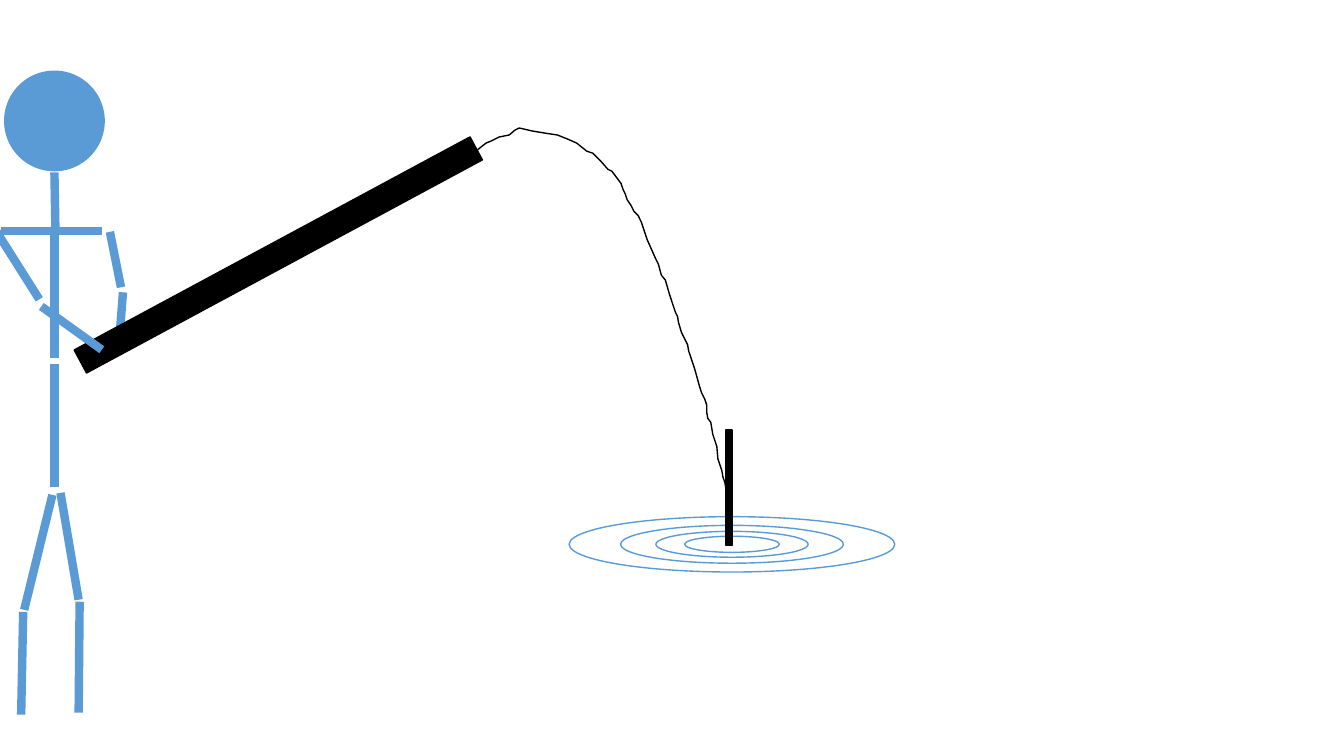
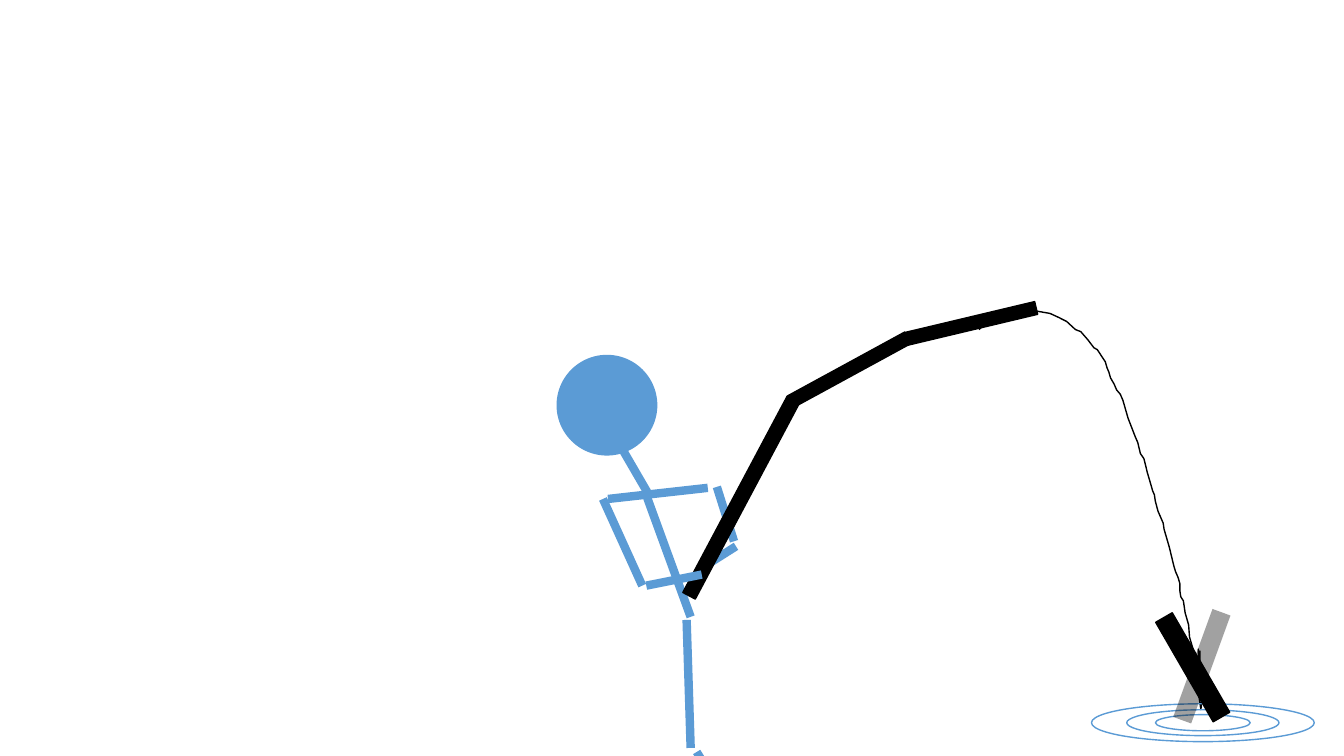
from dataclasses import dataclass

from lxml import etree
from pptx import Presentation
from pptx.dml.color import RGBColor
from pptx.enum.shapes import MSO_CONNECTOR as Link, MSO_SHAPE as Form
from pptx.oxml.ns import qn
from pptx.util import Cm, Pt

HUES = {"blue": "5B9BD5", "black": "000000"}
SLIDE = (13.33, 7.5)
HEAD = 1.0
FLAT = 0.17  # height of a ripple relative to its width
THIN, THICK = 1, 6

# Points of the slack fishing line, from rod tip to float
CORD = [
    (4.72, 1.5), (4.82, 1.42), (4.87, 1.4), (4.95, 1.36), (5.05, 1.34),
    (5.11, 1.29), (5.15, 1.27), (5.28, 1.3), (5.4, 1.32), (5.53, 1.34),
    (5.63, 1.38), (5.72, 1.42), (5.82, 1.5), (5.88, 1.52), (5.96, 1.6),
    (6.03, 1.68), (6.07, 1.7), (6.13, 1.78), (6.16, 1.82), (6.18, 1.88),
    (6.2, 1.92), (6.22, 1.98), (6.26, 2.04), (6.29, 2.1), (6.33, 2.14),
    (6.36, 2.2), (6.38, 2.26), (6.4, 2.32), (6.42, 2.38), (6.5, 2.56),
    (6.53, 2.62), (6.56, 2.73), (6.6, 2.78), (6.64, 2.92), (6.68, 3.04),
    (6.7, 3.1), (6.72, 3.14), (6.73, 3.2), (6.76, 3.3), (6.8, 3.38),
    (6.82, 3.42), (6.83, 3.48), (6.89, 3.66), (6.94, 3.84), (6.96, 3.9),
    (6.99, 3.96), (7.01, 4.02), (7.01, 4.09), (7.02, 4.15), (7.05, 4.19),
    (7.07, 4.31), (7.11, 4.43), (7.12, 4.55), (7.16, 4.67), (7.17, 4.73),
    (7.19, 4.79), (7.21, 4.91), (7.22, 5.03), (7.23, 4.91), (7.22, 4.67),
    (7.24, 5.05), (7.26, 5.17), (7.25, 5.27), (7.23, 5.15), (7.22, 5.03),
    (7.22, 4.83), (7.24, 4.69), (7.23, 5.06), (7.23, 4.75), (7.23, 4.89),
    (7.21, 4.77),
]


@dataclass(frozen=True)
class Limb:
    x1: float
    y1: float
    x2: float
    y2: float


@dataclass(frozen=True)
class Bar:
    """A rectangle given by its centre, size and turn."""
    x: float
    y: float
    wide: float
    high: float
    turn: float = 0
    solid: int = 100


@dataclass(frozen=True)
class Scene:
    head: tuple[float, float]
    limbs: list[Limb]
    rods: list[Bar]
    arm: Limb  # forearm in front of the rod
    start: tuple[float, float]
    span: float  # width of the cord relative to CORD
    pool: tuple[float, float]
    rings: list[float]
    floats: list[Bar]


def size(inch: float) -> int:
    return Cm(inch * 2.54)


def ink(line, hue: str, width: float) -> None:
    line.color.rgb = RGBColor.from_string(HUES[hue])
    line.width = Pt(width)


def style(shape, fill: str | None = None, line: str | None = None) -> None:
    shape.shadow.inherit = False
    if fill:
        shape.fill.solid()
        shape.fill.fore_color.rgb = RGBColor.from_string(HUES[fill])
    else:
        shape.fill.background()
    if line:
        ink(shape.line, line, THIN)
    else:
        shape.line.fill.background()


def centred(group, form: Form, x: float, y: float, wide: float, high: float):
    return group.shapes.add_shape(
        form, size(x - wide / 2), size(y - high / 2), size(wide), size(high))


def draw_limb(group, limb: Limb) -> None:
    ends = map(size, (limb.x1, limb.y1, limb.x2, limb.y2))
    line = group.shapes.add_connector(Link.STRAIGHT, *ends)
    ink(line.line, "blue", THICK)
    etree.SubElement(line._element.spPr, qn("a:effectLst"))


def draw_bar(group, bar: Bar) -> None:
    shape = centred(group, Form.RECTANGLE, bar.x, bar.y, bar.wide, bar.high)
    shape.rotation = bar.turn
    clear = bar.solid < 100
    style(shape, "black", None if clear else "black")
    if clear:
        tone = shape._element.spPr.find(qn("a:solidFill"))[0]
        etree.SubElement(tone, qn("a:alpha"), val=str(bar.solid * 1000))


def draw_cord(group, start: tuple[float, float], span: float) -> None:
    left, top = CORD[0]
    dots = [(size(start[0] + (x - left) * span), size(start[1] + y - top))
            for x, y in CORD]
    pen = group.shapes.build_freeform(*dots[0])
    pen.add_line_segments(dots[1:], close=False)
    style(pen.convert_to_shape(), line="black")


def draw_scene(deck, scene: Scene) -> None:
    page = deck.slides.add_slide(deck.slide_layouts[6])
    group = page.shapes.add_group_shape()
    # Angler and rod
    style(centred(group, Form.OVAL, *scene.head, HEAD, HEAD), "blue")
    for limb in scene.limbs:
        draw_limb(group, limb)
    for rod in scene.rods:
        draw_bar(group, rod)
    draw_limb(group, scene.arm)
    # Cord, ripples and float
    draw_cord(group, scene.start, scene.span)
    for wide in scene.rings:
        ring = centred(group, Form.OVAL, *scene.pool, wide, wide * FLAT)
        style(ring, line="blue")
    for part in scene.floats:
        draw_bar(group, part)


WAIT = Scene(
    head=(0.54, 1.2),
    limbs=[
        # Neck, trunk and shoulders
        Limb(0.54, 1.71, 0.55, 2.3), Limb(0.54, 2.32, 0.54, 3.55),
        Limb(0.54, 3.61, 0.54, 4.83), Limb(1.01, 2.29, 0.01, 2.29),
        # Arms
        Limb(1.2, 2.85, 1.09, 2.3), Limb(-0.04, 2.29, 0.39, 2.97),
        Limb(1.18, 3.41, 1.22, 2.9),
        # Legs
        Limb(0.52, 4.91, 0.24, 6.05), Limb(0.23, 6.07, 0.21, 7.09),
        Limb(0.6, 4.89, 0.78, 5.95), Limb(0.79, 5.97, 0.78, 7.07),
    ],
    rods=[Bar(2.76, 2.53, 0.26, 4.46, 61.7)],
    arm=Limb(0.41, 3.04, 1.01, 3.47),
    start=(4.72, 1.5), span=1,
    pool=(7.26, 5.4), rings=[2.21, 3.23, 1.51, 0.94],
    floats=[Bar(7.23, 4.84, 0.06, 1.15)],
)

BITE = Scene(
    head=(6.02, 4.02),
    limbs=[
        # Neck, trunk and shoulders
        Limb(6.14, 4.4, 6.43, 4.9), Limb(6.42, 4.94, 6.85, 6.12),
        Limb(6.81, 6.15, 6.85, 7.42), Limb(7.02, 4.84, 6.03, 4.95),
        # Arms
        Limb(7.28, 5.37, 7.11, 4.83), Limb(5.98, 4.95, 6.37, 5.81),
        Limb(7, 5.61, 7.3, 5.42),
        # Leg
        Limb(6.91, 7.46, 7.5, 8.43),
    ],
    rods=[Bar(7.35, 4.94, 0.14, 2.2, 28), Bar(8.42, 3.67, 0.13, 1.33, 61.4),
          Bar(9.63, 3.21, 0.13, 1.33, 76.6)],
    arm=Limb(6.41, 5.81, 6.96, 5.7),
    start=(9.71, 3.27), span=0.87,
    pool=(11.93, 7.17), rings=[2.21, 1.51, 0.94],
    floats=[Bar(11.92, 6.61, 0.19, 1.14, 20, solid=37),
            Bar(11.83, 6.62, 0.19, 1.14, 330)],
)


def main() -> None:
    deck = Presentation()
    deck.slide_width, deck.slide_height = map(size, SLIDE)
    for scene in (WAIT, BITE):
        draw_scene(deck, scene)
    deck.save("out.pptx")


if __name__ == "__main__":
    main()
